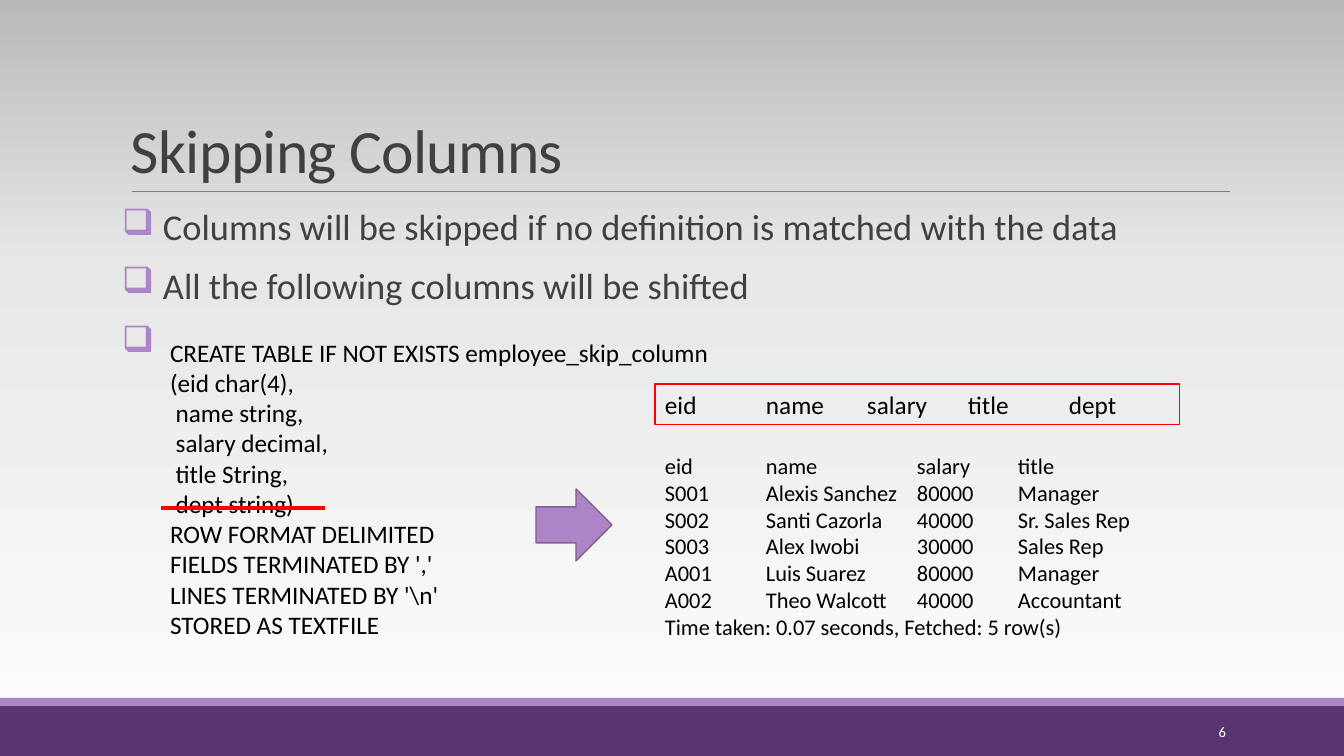
from copy import deepcopy

from pptx import Presentation
from pptx import util as u
from pptx.dml.color import RGBColor
from pptx.enum import shapes, text
from pptx.oxml import parse_xml
from pptx.oxml.ns import nsdecls, qn

PX = 12192000 / 1344
LILAC = "AD84C6"
RED = "FF0000"
GREY = "404040"

BULLETS = [
    "Columns will be skipped if no definition is matched with the data",
    "All the following columns will be shifted",
    " ",
]
CREATE_TABLE = [
    "CREATE TABLE IF NOT EXISTS employee_skip_column",
    "(eid char(4),",
    " name string,",
    " salary decimal,",
    " title String,",
    " dept string)",
    "ROW FORMAT DELIMITED",
    "FIELDS TERMINATED BY ','",
    "LINES TERMINATED BY '\\n'",
    "STORED AS TEXTFILE",
]
DATA_HEADER = ["eid", "name", "salary", "title", "dept"]
QUERY_ROWS = [
    ["eid", "name", "salary", "title"],
    ["S001", "Alexis Sanchez", "80000", "Manager"],
    ["S002", "Santi Cazorla", "40000", "Sr. Sales Rep"],
    ["S003", "Alex Iwobi", "30000", "Sales Rep"],
    ["A001", "Luis Suarez", "80000", "Manager"],
    ["A002", "Theo Walcott", "40000", "Accountant"],
    ["Time taken: 0.07 seconds, Fetched: 5 row(s)"],
]


def px(length):
    """Turn pixels into EMU."""
    return u.Emu(round(length * PX))


def rgb(value):
    """Turn a hex string into a colour."""
    return RGBColor.from_string(value)


def add_mark(paragraph, xml):
    """Append one bullet or tab element to the paragraph properties."""
    head, tail = xml.split(" ", 1)
    paragraph._p.get_or_add_pPr().append(parse_xml(f"{head} {nsdecls('a')} {tail}"))


def write(frame, lines, size, color="000000", align=text.PP_ALIGN.LEFT,
          anchor=text.MSO_ANCHOR.TOP, insets=(10, 5), line=None, before=0,
          after=0, bullet=None, hang=0, tabs=(), spacing=None):
    """Fill a text frame with one paragraph for each line."""
    frame.word_wrap = True
    frame.auto_size = text.MSO_AUTO_SIZE.NONE
    frame.vertical_anchor = anchor
    frame.margin_left = frame.margin_right = px(insets[0])
    frame.margin_top = frame.margin_bottom = px(insets[1])
    for index, content in enumerate(lines):
        paragraph = frame.add_paragraph() if index else frame.paragraphs[0]
        paragraph.alignment = align
        paragraph.line_spacing = line
        paragraph.space_before = u.Pt(before if index else 0)
        paragraph.space_after = u.Pt(after)
        if bullet:
            properties = paragraph._p.get_or_add_pPr()
            properties.set("marL", str(px(hang)))
            properties.set("indent", str(-px(hang)))
            add_mark(paragraph, f'<a:buClr ><a:srgbClr val="{LILAC}"/></a:buClr>')
            add_mark(paragraph, f'<a:buChar char="{bullet}"/>')
        if tabs:
            stops = "".join(f'<a:tab pos="{px(stop)}" algn="l"/>' for stop in tabs)
            add_mark(paragraph, f"<a:tabLst >{stops}</a:tabLst>")
        run = paragraph.add_run()
        run.text = content
        run.font.size = u.Pt(size)
        run.font.name = "Calibri"
        run.font.color.rgb = rgb(color)
        if spacing:
            run._r.get_or_add_rPr().set("spc", str(spacing))


def add_text(slide, box, lines, size, **style):
    """Add a text box."""
    frame = slide.shapes.add_textbox(*map(px, box)).text_frame
    write(frame, lines, size, **style)


def add_block(slide, kind, box, fill=None, outline=None, width=1):
    """Add a preset shape with a plain fill and outline."""
    block = slide.shapes.add_shape(kind, *map(px, box))
    block.shadow.inherit = False
    if fill:
        block.fill.solid()
        block.fill.fore_color.rgb = rgb(fill)
    else:
        block.fill.background()
    if outline:
        block.line.color.rgb = rgb(outline)
        block.line.width = u.Pt(width)
    else:
        block.line.fill.background()
    return block


def add_rule(slide, left, right, top, color, width):
    """Add a horizontal line."""
    rule = slide.shapes.add_connector(
        shapes.MSO_CONNECTOR.STRAIGHT, px(left), px(top), px(right), px(top))
    rule.line.color.rgb = rgb(color)
    rule.line.width = u.Pt(width)
    rule._element.spPr.append(parse_xml(f"<a:effectLst {nsdecls('a')}/>"))


def paint_background(slide, stops):
    """Fill the background with a gradient that rises from the bottom."""
    fill = slide.background.fill
    fill.gradient()
    fill.gradient_angle = 90
    stop_list = slide._element.find(".//" + qn("a:gsLst"))
    while len(stop_list) < len(stops):
        stop_list.append(deepcopy(stop_list[-1]))
    for stop, (position, color) in zip(fill.gradient_stops, stops):
        stop.position = position
        stop.color.rgb = rgb(color)


def place_title(slide, box, content):
    """Move and format the title placeholder."""
    title = slide.shapes.title
    title.left, title.top, title.width, title.height = map(px, box)
    write(title.text_frame, [content], 44, color=GREY, line=0.85,
          anchor=text.MSO_ANCHOR.BOTTOM, spacing=-50)


def main():
    """Build the slide and save it."""
    deck = Presentation()
    deck.slide_width, deck.slide_height = px(1344), px(756)
    slide = deck.slides.add_slide(deck.slide_layouts[5])
    rectangle = shapes.MSO_SHAPE.RECTANGLE

    paint_background(slide, [(0, "FEFEFE"), (0.65, "E7E7E7"), (1, "B9B9B9")])
    add_block(slide, rectangle, (0, 706, 1344, 50), fill="5A3471")
    add_block(slide, rectangle, (0, 698, 1344, 8), fill=LILAC)
    add_rule(slide, 132, 1230, 191, "808080", 0.5)
    place_title(slide, (121, 31, 1109, 160), "Skipping Columns")
    add_text(slide, (122, 204, 1109, 444), BULLETS, 26, color=GREY, insets=(0, 5),
             line=0.9, before=12, after=2, bullet="❑", hang=41)
    add_text(slide, (1092, 712, 144, 40), ["6"], 10.5, color="FFFFFF",
             align=text.PP_ALIGN.RIGHT, anchor=text.MSO_ANCHOR.MIDDLE)

    add_text(slide, (655, 447, 515, 201), map("\t".join, QUERY_ROWS), 16,
             tabs=(101, 252, 353))
    add_text(slide, (160, 332, 672, 316), CREATE_TABLE, 18)
    add_rule(slide, 161, 325, 508, RED, 2.25)
    add_block(slide, shapes.MSO_SHAPE.RIGHT_ARROW, (536, 489, 76, 72),
              fill=LILAC, outline="806292")
    header = add_block(slide, rectangle, (655, 384, 525, 41), outline=RED, width=0.75)
    write(header.text_frame, ["\t".join(DATA_HEADER)], 18,
          tabs=[101 * column for column in range(1, len(DATA_HEADER))])

    deck.save("out.pptx")


if __name__ == "__main__":
    main()
